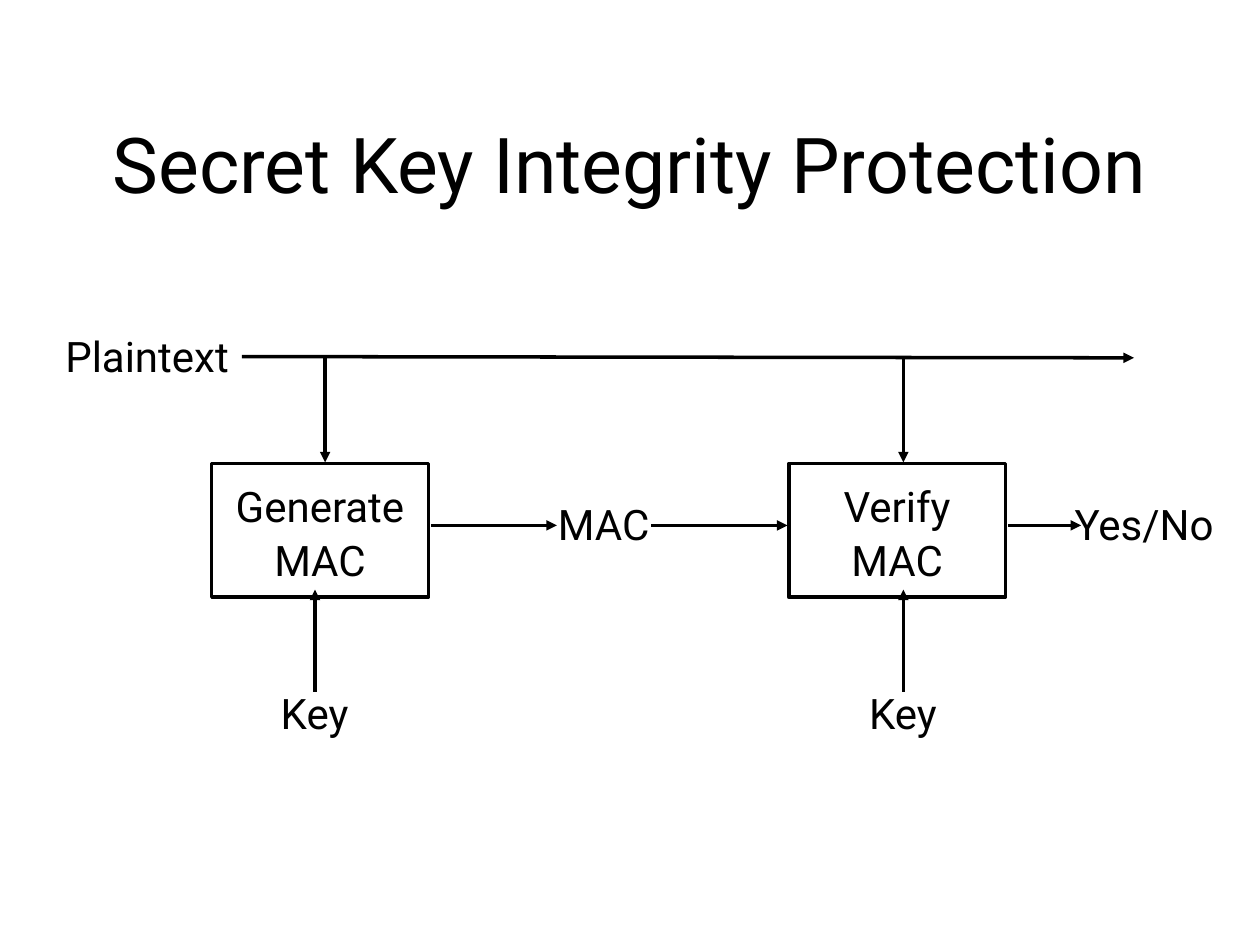
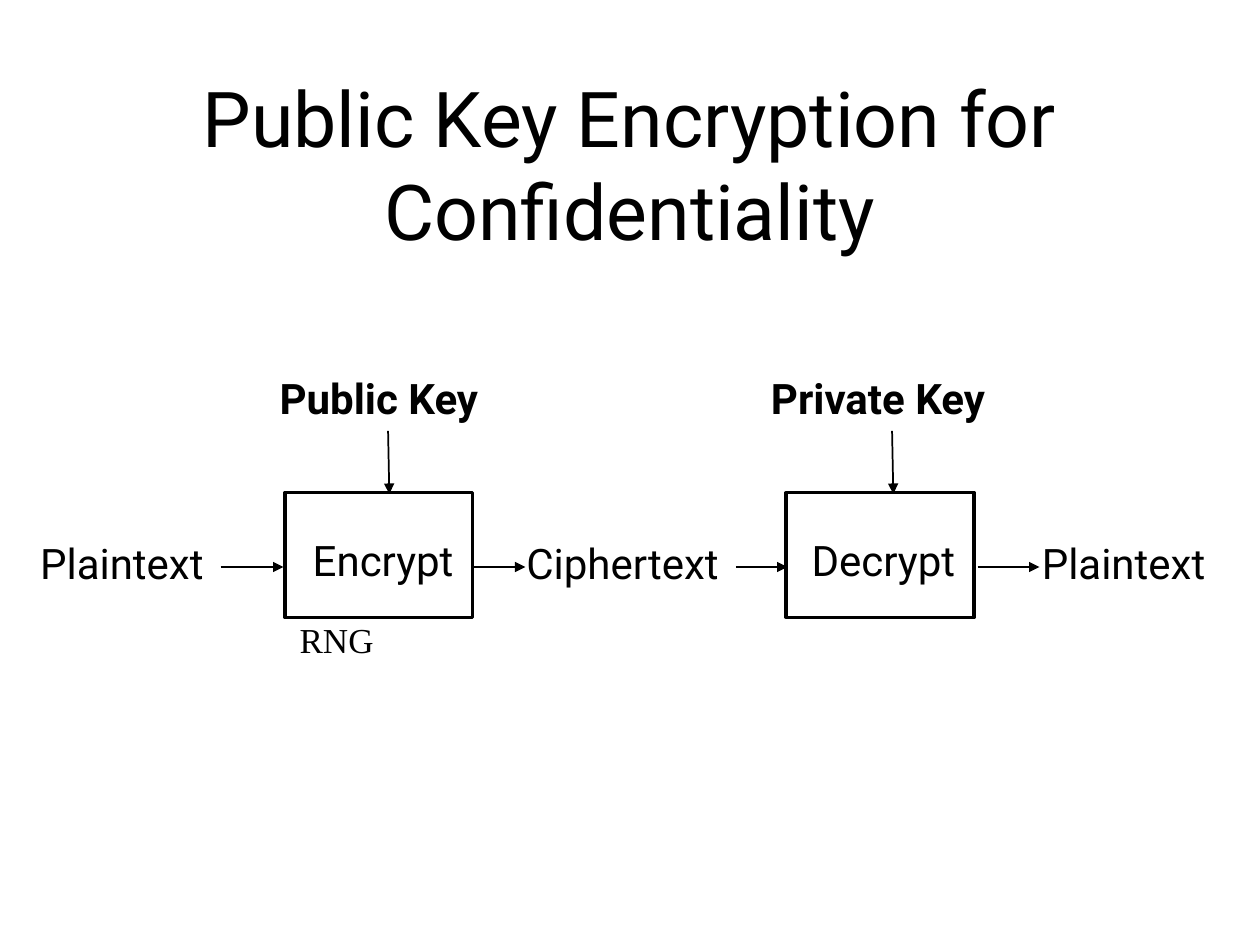
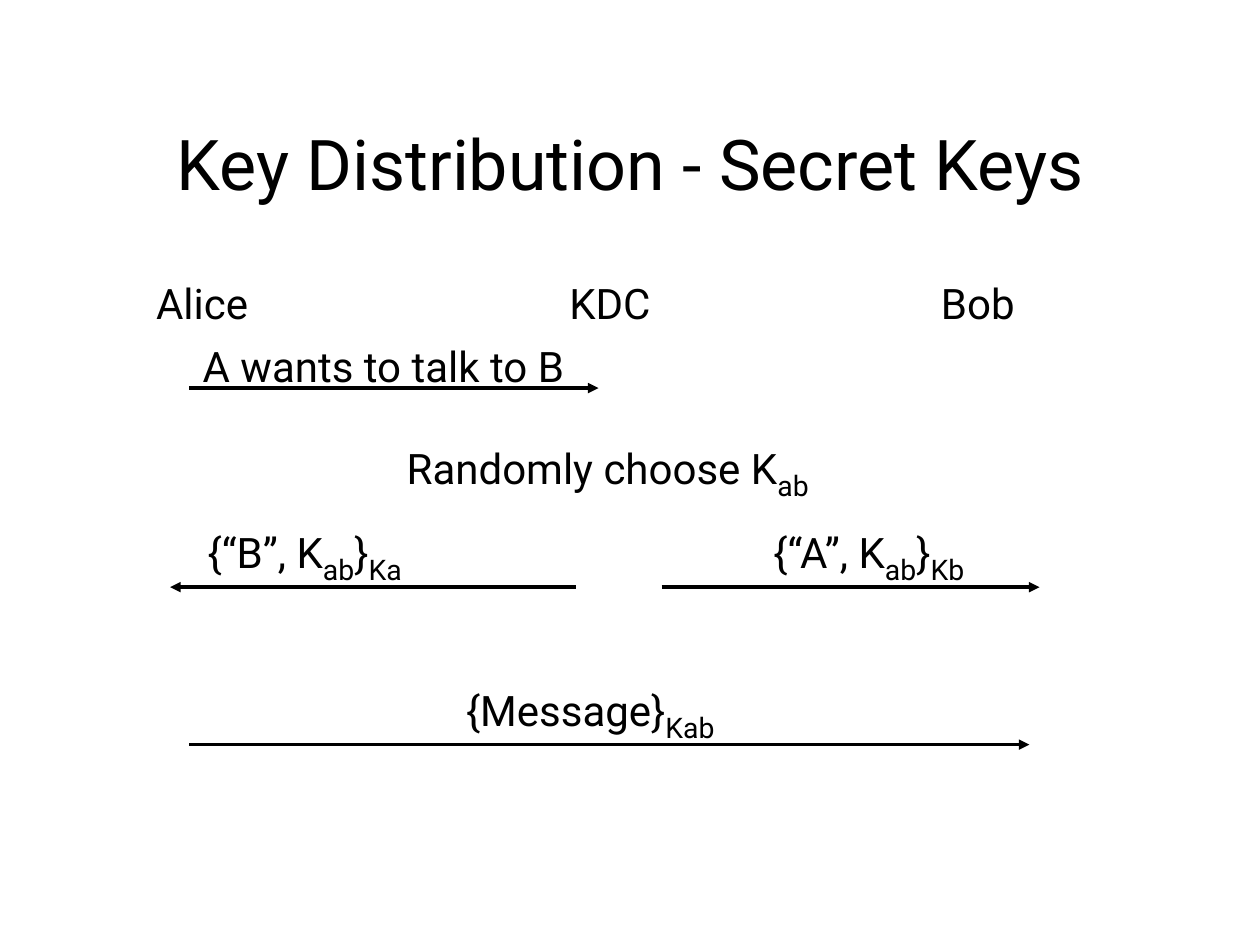
from lxml import etree
from pptx import Presentation
from pptx.dml.color import RGBColor
from pptx.enum.shapes import MSO_CONNECTOR, MSO_SHAPE
from pptx.enum.text import MSO_ANCHOR, MSO_AUTO_SIZE, PP_ALIGN
from pptx.oxml.ns import qn
from pptx.util import Inches, Pt

STRAIGHT = MSO_CONNECTOR.STRAIGHT
ROUNDED = MSO_SHAPE.ROUNDED_RECTANGLE
TOP, MIDDLE = MSO_ANCHOR.TOP, MSO_ANCHOR.MIDDLE
LEFT, CENTER = PP_ALIGN.LEFT, PP_ALIGN.CENTER
NO_AUTOFIT = MSO_AUTO_SIZE.NONE
TITLE_ONLY = 5
BLACK, WHITE = "000000", "FFFFFF"
SANS, SERIF = "Roboto", "Times New Roman"
SUBSCRIPT_MARK = "|"


def color(value):
    return RGBColor.from_string(value)


def write(shape, text, size=24, font=SANS, bold=False, align=LEFT,
          anchor=TOP, wrap=False, insets=(0.1, 0.05)):
    frame = shape.text_frame
    frame.auto_size = NO_AUTOFIT
    frame.word_wrap = wrap
    frame.vertical_anchor = anchor
    frame.margin_left, frame.margin_top = map(Inches, insets)
    frame.margin_right, frame.margin_bottom = Inches(0.1), Inches(0.05)
    for number, line in enumerate(text.split("\n")):
        paragraph = frame.add_paragraph() if number else frame.paragraphs[0]
        paragraph.alignment = align
        paragraph.line_spacing = 1.06 if number else 1.01
        for position, piece in enumerate(line.split(SUBSCRIPT_MARK)):
            subscript = position % 2
            run = paragraph.add_run()
            run.text = piece
            run.font.name = font
            run.font.size = Pt(28 if subscript else size)
            run.font.bold = bold
            run.font.color.rgb = color(BLACK)
            if subscript:
                run.font._element.set("baseline", "-25000")


class Deck:
    def __init__(self):
        self.presentation = Presentation()
        self.presentation.slide_width = Inches(10)
        self.presentation.slide_height = Inches(7.5)
        self.slide = None

    def add_slide(self, title, size=44):
        layout = self.presentation.slide_layouts[TITLE_ONLY]
        self.slide = self.presentation.slides.add_slide(layout)
        self.slide.background.fill.solid()
        self.slide.background.fill.fore_color.rgb = color(WHITE)
        shape = self.slide.shapes.title
        shape.left, shape.top = Inches(0.75), Inches(0.5)
        shape.width, shape.height = Inches(8.5), Inches(1.58)
        write(shape, title, size=size, align=CENTER, anchor=MIDDLE, wrap=True)

    def label(self, text, left, top, width, height=0.51, **text_format):
        shape = self.slide.shapes.add_textbox(
            Inches(left), Inches(top), Inches(width), Inches(height))
        write(shape, text, **text_format)

    def box(self, text, left, top, width, height, insets):
        shape = self.slide.shapes.add_shape(
            ROUNDED, Inches(left), Inches(top), Inches(width), Inches(height))
        shape.adjustments[0] = 0
        shape.shadow.inherit = False
        shape.fill.solid()
        shape.fill.fore_color.rgb = color(WHITE)
        shape.line.color.rgb = color(BLACK)
        shape.line.width = Pt(2)
        write(shape, text, align=CENTER, anchor=MIDDLE, insets=insets)

    def arrow(self, start, end, weight=2):
        connector = self.slide.shapes.add_connector(
            STRAIGHT, *map(Inches, start + end))
        connector.line.color.rgb = color(BLACK)
        connector.line.width = Pt(weight)
        line = connector.line._get_or_add_ln()
        etree.SubElement(line, qn("a:tailEnd"), type="triangle")
        etree.SubElement(connector._element.spPr, qn("a:effectLst"))


def integrity_slide(deck):
    deck.add_slide("Secret Key Integrity Protection")
    for action, box_left, plaintext_x, key_x in (
            ("Generate\nMAC", 1.68, 2.58, 2.5),
            ("Verify\nMAC", 6.26, 7.17, 7.17)):
        deck.box(action, box_left, 3.68, 1.72, 1.06, (0.1, 0.08))
        deck.arrow((plaintext_x, 2.84), (plaintext_x, 3.67))
        deck.arrow((key_x, 5.49), (key_x, 4.68))
        deck.label("Key", key_x - 0.37, 5.4, 0.77)
    for text, left, top, width in (("Plaintext", 0.42, 2.57, 1.57),
                                   ("MAC", 4.33, 3.9, 0.93),
                                   ("Yes/No", 8.43, 3.9, 1.32)):
        deck.label(text, left, top, width)
    deck.arrow((1.92, 2.83), (9, 2.84))
    for start, end in ((3.42, 4.42), (5.17, 6.25), (8, 8.58)):
        deck.arrow((start, 4.17), (end, 4.17))


def confidentiality_slide(deck):
    deck.add_slide("Public Key Encryption for Confidentiality")
    deck.label("RNG", 2.28, 4.86, 0.9, 0.5, size=20, font=SERIF)
    for text, left, width in (("Plaintext", 0.22, 1.57),
                              ("Ciphertext", 4.08, 1.84),
                              ("Plaintext", 8.17, 1.57)):
        deck.label(text, left, 4.21, width)
    for start, end in ((1.75, 2.25), (3.76, 4.17), (5.84, 6.25), (7.76, 8.25)):
        deck.arrow((start, 4.5), (end, 4.5), weight=1)
    for key, key_left, key_width, key_x, action, box_left, inset in (
            ("Public Key", 2.12, 1.91, 3.08, "Encrypt", 2.26, 0.17),
            ("Private Key", 6.02, 2.09, 7.08, "Decrypt", 6.24, 0.15)):
        deck.label(key, key_left, 2.9, key_width, bold=True)
        deck.arrow((key_x, 3.42), (key_x + 0.01, 3.92), weight=1)
        deck.box(action, box_left, 3.91, 1.49, 0.99, (inset, 0.12))


def distribution_slide(deck):
    deck.add_slide("Key Distribution - Secret Keys", size=40)
    for party, left, width in (("Alice", 1.14, 0.94), ("KDC", 4.42, 0.86),
                               ("Bob", 7.37, 0.83)):
        deck.label(party, left, 2.15, width)
    deck.label("A wants to talk to B", 1.51, 2.65, 3.22)
    for message, left, top, width in (
            ("Randomly choose K|ab", 3.13, 3.4, 3.54),
            ("{“B”, K|ab|}|Ka", 1.55, 4.07, 1.82),
            ("{“A”, K|ab|}|Kb", 6.04, 4.07, 1.83),
            ("{Message}|Kab", 3.6, 5.32, 2.25)):
        deck.label(message, left, top, width, 0.64)
    for start, end, y in ((1.5, 4.75, 3.08), (4.57, 1.35, 4.66),
                          (5.25, 8.25, 4.66), (1.5, 8.17, 5.91)):
        deck.arrow((start, y), (end, y))


def main():
    deck = Deck()
    integrity_slide(deck)
    confidentiality_slide(deck)
    distribution_slide(deck)
    deck.presentation.save("out.pptx")


if __name__ == "__main__":
    main()
